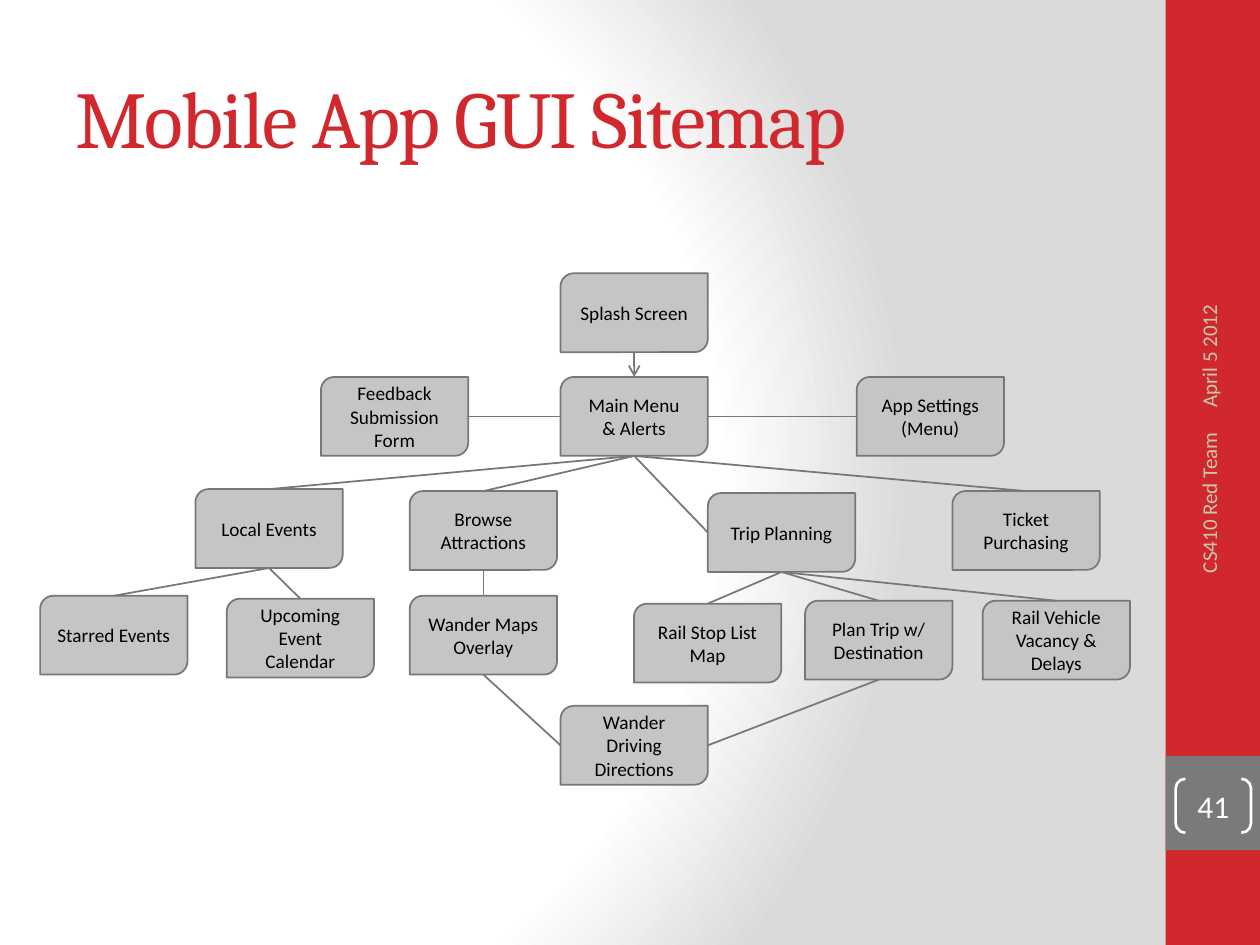
from lxml import etree
from pptx import Presentation
from pptx.dml.color import RGBColor as RGB
from pptx.enum.shapes import MSO_CONNECTOR as CONN, MSO_SHAPE as SHAPE
from pptx.enum.text import MSO_ANCHOR as ANCHOR, PP_ALIGN as ALIGN
from pptx.oxml import parse_xml
from pptx.oxml.ns import nsdecls, qn
from pptx.util import Cm, Pt

COLORS = {"red": "D1282E", "gray": "7A7A7A", "box": "C5C5C5", "line": "777777",
          "footer": "C8C8B1", "white": "FFFFFF", "black": "000000", "shade": "DADADA"}
TOP, LEFT, BOTTOM, RIGHT = range(4)


def write(sp, text, size, color, align=ALIGN.CENTER, font="Calibri"):
    tf = sp.text_frame
    tf.word_wrap = True
    tf.vertical_anchor = ANCHOR.MIDDLE
    p = tf.paragraphs[0]
    p.text = text
    p.alignment = align
    for r in p.runs:
        for name, value in {"size": Pt(size), "name": font}.items():
            setattr(r.font, name, value)
        r.font.color.rgb = RGB.from_string(COLORS[color])
    return tf


def add_shape(kind, box, fill=None, line=None, width=1):
    sp = s.shapes.add_shape(kind, *map(Cm, box))
    sp.shadow.inherit = False
    for part, color in ((sp.fill, fill), (sp.line.fill, line)):
        if color:
            part.solid()
            part.fore_color.rgb = RGB.from_string(COLORS[color])
        else:
            part.background()
    if line:
        sp.line.width = Pt(width)
    return sp


prs = Presentation()
prs.slide_width, prs.slide_height = Cm(25.4), Cm(19.05)
s = prs.slides.add_slide(prs.slide_layouts[6])

stops = "".join(f'<a:gs pos="{pos}"><a:srgbClr val="{COLORS[color]}"/></a:gs>'
                for pos, color in ((0, "white"), (75000, "white"), (100000, "shade")))
s.element.cSld.insert(0, parse_xml(
    f'<p:bg {nsdecls("p", "a")}><p:bgPr><a:gradFill rotWithShape="1"><a:gsLst>{stops}</a:gsLst>'
    '<a:path path="circle"><a:fillToRect l="20000" t="50000" r="100000" b="50000"/></a:path>'
    '</a:gradFill><a:effectLst/></p:bgPr></p:bg>'))

add_shape(SHAPE.RECTANGLE, (23.5, 0, 1.9, 19.05), "red")
add_shape(SHAPE.RECTANGLE, (23.5, 15.24, 1.9, 1.9), "gray")

title = s.shapes.add_textbox(*map(Cm, (1.27, 0.76, 21.16, 3.18)))
tf = write(title, "Mobile App GUI Sitemap", 46, "red", ALIGN.LEFT, "Cambria")
tf.paragraphs[0].runs[0].font._element.set("spc", "-100")

for text, box, align in (
    ("April 5 2012", (20.98, 4.57, 6.78, 1.02), ALIGN.LEFT),
    ("CS410 Red Team", (21.08, 11.25, 6.58, 1.02), ALIGN.RIGHT),
):
    footer = s.shapes.add_textbox(*map(Cm, box))
    footer.rotation = 270
    write(footer, text, 12, "footer", align)

number = add_shape(SHAPE.DOUBLE_BRACKET, (23.7, 15.7, 1.52, 1.09), line="white", width=1.5)
number.adjustments[0] = 0.18
tf = write(number, "41", 18, "white")
for side in ("left", "top", "right", "bottom"):
    setattr(tf, f"margin_{side}", 0)

pages = {
    "splash": ("Splash Screen", 11.3, 5.51),
    "menu": ("Main Menu\n& Alerts", 11.3, 7.6),
    "feedback": ("Feedback Submission Form", 6.47, 7.6),
    "settings": ("App Settings (Menu)", 17.27, 7.6),
    "events": ("Local Events", 3.94, 9.86),
    "browse": ("Browse Attractions", 8.26, 9.9),
    "trip": ("Trip Planning", 14.27, 9.94),
    "ticket": ("Ticket Purchasing", 19.2, 9.9),
    "starred": ("Starred Events", 0.81, 12.01),
    "calendar": ("Upcoming Event Calendar", 4.57, 12.07),
    "maps": ("Wander Maps Overlay", 8.26, 12.01),
    "stops": ("Rail Stop List Map", 12.78, 12.17),
    "plan": ("Plan Trip w/ Destination", 16.23, 12.11),
    "vehicle": ("Rail Vehicle Vacancy & Delays", 19.81, 12.11),
    "driving": ("Wander Driving Directions", 11.3, 14.23),
}
boxes = {}
for key, (text, x, y) in pages.items():
    boxes[key] = add_shape(SHAPE.ROUND_2_DIAG_RECTANGLE, (x, y, 2.97, 1.59), "box", "line")
    write(boxes[key], text, 11, "black")

links = [
    ("splash", BOTTOM, "menu", TOP),
    ("menu", LEFT, "feedback", RIGHT),
    ("menu", RIGHT, "settings", LEFT),
    ("menu", BOTTOM, "events", TOP),
    ("menu", BOTTOM, "browse", TOP),
    ("menu", BOTTOM, "trip", LEFT),
    ("menu", BOTTOM, "ticket", TOP),
    ("events", BOTTOM, "starred", TOP),
    ("events", BOTTOM, "calendar", TOP),
    ("browse", BOTTOM, "maps", TOP),
    ("trip", BOTTOM, "stops", TOP),
    ("trip", BOTTOM, "plan", TOP),
    ("trip", BOTTOM, "vehicle", TOP),
    ("maps", BOTTOM, "driving", LEFT),
    ("plan", BOTTOM, "driving", RIGHT),
]
for start, start_side, end, end_side in links:
    link = s.shapes.add_connector(CONN.STRAIGHT, 0, 0, 0, 0)
    link.begin_connect(boxes[start], start_side)
    link.end_connect(boxes[end], end_side)
    # This preset numbers its sites right, bottom, left, top.
    for tag, side in (("a:stCxn", start_side), ("a:endCxn", end_side)):
        next(link._element.iter(qn(tag))).set("idx", str(3 - side))
    link.line.color.rgb = RGB.from_string(COLORS["line"])
    link.line.width = Pt(1)
    if start == "splash":
        etree.SubElement(link.line._get_or_add_ln(), qn("a:tailEnd"), type="arrow")
    etree.SubElement(link._element.spPr, qn("a:effectLst"))

prs.save("out.pptx")
